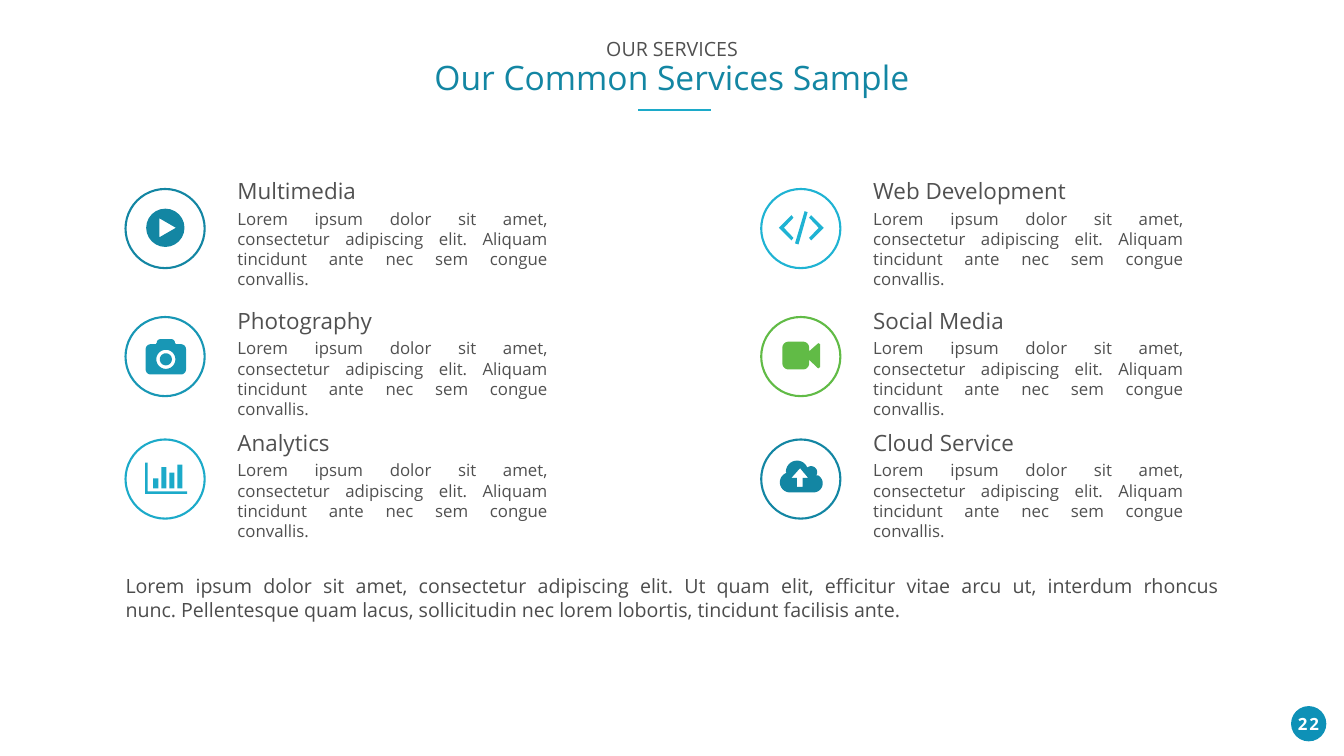
from dataclasses import dataclass
from math import cos, radians, sin

from lxml.etree import SubElement
from pptx import Presentation
from pptx.dml.color import RGBColor
from pptx.enum.shapes import MSO_CONNECTOR, MSO_SHAPE
from pptx.enum.text import MSO_ANCHOR as Anchor, MSO_AUTO_SIZE as AutoSize, PP_ALIGN as Align
from pptx.oxml.ns import qn
from pptx.util import Pt

PX = 9144  # EMU per px, 100 px to the inch
FONT = "Open Sans"
WHITE = RGBColor(0xFF, 0xFF, 0xFF)
GREY = RGBColor(0x50, 0x50, 0x50)
DARK_GREY = RGBColor(0x4C, 0x4C, 0x4C)
TEAL = RGBColor(0x13, 0x86, 0xA3)
MID_TEAL = RGBColor(0x18, 0x97, 0xB5)
CYAN = RGBColor(0x1C, 0xAA, 0xC9)
LIGHT_CYAN = RGBColor(0x1F, 0xB3, 0xD3)
GREEN = RGBColor(0x61, 0xBB, 0x46)
BADGE_BLUE = RGBColor(0x0E, 0x91, 0xB7)

Outline = list[tuple[float, float]]

COLUMNS = (249, 1510)                            # left edge of the rings
ROWS = ((375, 342), (629, 599), (872, 841))      # top of ring, top of heading
RING = 157
BLURB = ("Lorem ipsum dolor sit amet, consectetur adipiscing elit. "
         "Aliquam tincidunt ante nec sem congue convallis.")
SUMMARY = ("Lorem ipsum dolor sit amet, consectetur adipiscing elit. Ut quam elit, "
           "efficitur vitae arcu ut, interdum rhoncus nunc.\u00a0Pellentesque quam lacus, "
           "sollicitudin nec lorem lobortis, tincidunt facilisis ante.")


# Outlines, in px from the centre of a ring
def arc(cx: int, cy: int, radius: int, start: int, end: int) -> Outline:
    steps = 24
    angles = [radians(start + (end - start) * i / steps) for i in range(steps + 1)]
    return [(cx + radius * cos(a), cy + radius * sin(a)) for a in angles]


def circle(cx: int, cy: int, radius: int) -> Outline:
    return arc(cx, cy, radius, 0, 360)


def box(left: int, top: int, right: int, bottom: int) -> Outline:
    return [(left, top), (right, top), (right, bottom), (left, bottom)]


def rounded(left: int, top: int, right: int, bottom: int, r: int,
            on_top: Outline, on_right: Outline) -> Outline:
    """Rounded box with a bump on its top or right side."""
    return (arc(left + r, top + r, r, 180, 270) + on_top
            + arc(right - r, top + r, r, 270, 360) + on_right
            + arc(right - r, bottom - r, r, 0, 90)
            + arc(left + r, bottom - r, r, 90, 180))


CHEVRON = [(-18, 24), (-43, -1), (-18, -26), (-14, -21), (-33, -1), (-14, 19)]
PLAY = [circle(1, -1, 38), [(-11, -20), (22, -1), (-11, 18)]]
CAMERA = [rounded(-38, -24, 42, 36, 10,
                  [(-18, -24)] + arc(-9, -27, 7, 180, 270) + arc(13, -27, 7, 270, 360)
                  + [(22, -24)], []),
          circle(2, 6, 19), circle(2, 6, 12)]
BARS = [[(-39, -32), (-34, -32), (-34, 25), (44, 25), (44, 30), (-39, 30)]]
BARS += [box(-23 + 16 * i, top, -13 + 16 * i, 19) for i, top in enumerate((-1, -23, -12, -28))]
CODE = [CHEVRON, [(3 - x, y) for x, y in CHEVRON],
        [(-11, 30), (8, -34), (14, -32), (-4, 32)]]
VIDEO = [rounded(-36, -29, 17, 26, 12, [],
                 [(17, -10), (35, -26), (39, -24), (39, 21), (35, 24), (17, 7)])]
CLOUD = [arc(-21, 7, 20, 90, 250) + arc(-7, -14, 22, 180, 325)
         + arc(21, -13, 12, 230, 390) + arc(26, 9, 18, 300, 450),
         [(-1, -21), (15, -2), (4, -2), (4, 16), (-7, 16), (-7, -2), (-18, -2)]]


@dataclass
class Service:
    name: str
    column: int
    row: int
    color: RGBColor
    icon: list[Outline]


SERVICES = [
    Service("Multimedia", 0, 0, TEAL, PLAY),
    Service("Photography", 0, 1, MID_TEAL, CAMERA),
    Service("Analytics", 0, 2, CYAN, BARS),
    Service("Web Development", 1, 0, LIGHT_CYAN, CODE),
    Service("Social Media", 1, 1, GREEN, VIDEO),
    Service("Cloud Service", 1, 2, TEAL, CLOUD),
]


def place(sp, x: int, y: int, w: int, h: int) -> None:
    sp.left, sp.top, sp.width, sp.height = (v * PX for v in (x, y, w, h))


def add_run(p, text: str, size: int, color: RGBColor, bold: bool = False):
    r = p.add_run()
    r.text = text
    r.font.name, r.font.size, r.font.bold = FONT, Pt(size), bold
    r.font.color.rgb = color
    return r


def set_frame(tf, margin_x: int, margin_y: int, anchor=Anchor.TOP, wrap: bool = True) -> None:
    tf.auto_size, tf.word_wrap, tf.vertical_anchor = AutoSize.NONE, wrap, anchor
    tf.margin_left = tf.margin_right = margin_x * PX
    tf.margin_top = tf.margin_bottom = margin_y * PX


def add_label(slide, x: int, y: int, w: int, h: int, text: str, size: int,
              color: RGBColor, align, margins=(20, 10), bold: bool = False):
    tf = slide.shapes.add_textbox(x * PX, y * PX, w * PX, h * PX).text_frame
    set_frame(tf, *margins)
    p = tf.paragraphs[0]
    p.alignment = align
    return add_run(p, text, size, color, bold)


def add_circle(slide, x: int, y: int, size: int):
    sp = slide.shapes.add_shape(MSO_SHAPE.OVAL, x * PX, y * PX, size * PX, size * PX)
    sp.shadow.inherit = False
    return sp


def add_icon(slide, cx: int, cy: int, icon: list[Outline], color: RGBColor) -> None:
    outlines = [[((cx + x) * PX, (cy + y) * PX) for x, y in outline] for outline in icon]
    builder = slide.shapes.build_freeform(*outlines[0][0], scale=1.0)
    for i, points in enumerate(outlines):
        if i:
            builder.move_to(*points[0])
        builder.add_line_segments(points[1:], close=True)
    sp = builder.convert_to_shape()
    sp.shadow.inherit = False
    sp.fill.solid()
    sp.fill.fore_color.rgb = color
    sp.line.fill.background()


def add_service(slide, s: Service) -> None:
    x = COLUMNS[s.column]
    ring_y, heading_y = ROWS[s.row]
    ring = add_circle(slide, x, ring_y, RING)
    ring.fill.background()
    ring.line.color.rgb, ring.line.width = s.color, Pt(3)
    add_icon(slide, x + RING // 2, ring_y + RING // 2, s.icon, s.color)
    add_label(slide, x + 202, heading_y, 655, 74, s.name, 32, GREY, Align.LEFT)
    add_label(slide, x + 202, heading_y + 62, 655, 182, BLURB, 24, GREY, Align.JUSTIFY)


def main() -> None:
    prs = Presentation()
    prs.slide_width, prs.slide_height = 2666 * PX, 1500 * PX
    slide = prs.slides.add_slide(prs.slide_layouts[1])
    title, body = slide.placeholders

    # Title and its underline
    place(title, 847, 74, 972, 125)
    tf = title.text_frame
    set_frame(tf, 10, 5, wrap=False)
    lines = (("OUR SERVICES", 28, GREY), ("Our Common Services Sample", 48, TEAL))
    for i, (text, size, color) in enumerate(lines):
        p = tf.add_paragraph() if i else tf.paragraphs[0]
        p.alignment, p.line_spacing = Align.CENTER, 0.9
        add_run(p, text, size, color)
    rule = slide.shapes.add_connector(
        MSO_CONNECTOR.STRAIGHT, 1266 * PX, 218 * PX, 1410 * PX, 218 * PX)
    rule.line.color.rgb, rule.line.width = CYAN, Pt(3)
    SubElement(rule._element.spPr, qn("a:effectLst"))

    # Services
    for service in SERVICES:
        add_service(slide, service)

    # Summary paragraph, without a bullet
    place(body, 249, 1118, 2168, 134)
    set_frame(body.text_frame, 0, 0, Anchor.MIDDLE)
    p = body.text_frame.paragraphs[0]
    pPr = p._p.get_or_add_pPr()
    pPr.set("marL", "0")
    pPr.set("indent", "0")
    SubElement(pPr, qn("a:buNone"))
    p.alignment, p.line_spacing, p.space_before = Align.JUSTIFY, Pt(35), Pt(0)
    add_run(p, SUMMARY, 28, DARK_GREY)

    # Page number badge
    badge = add_circle(slide, 2561, 1401, 70)
    badge.fill.solid()
    badge.fill.fore_color.rgb = BADGE_BLUE
    badge.line.fill.background()
    r = add_label(slide, 2556, 1411, 79, 50, "22", 24, WHITE, Align.CENTER, (10, 5), True)
    r.font._element.set("spc", "300")

    prs.save("out.pptx")


if __name__ == "__main__":
    main()
